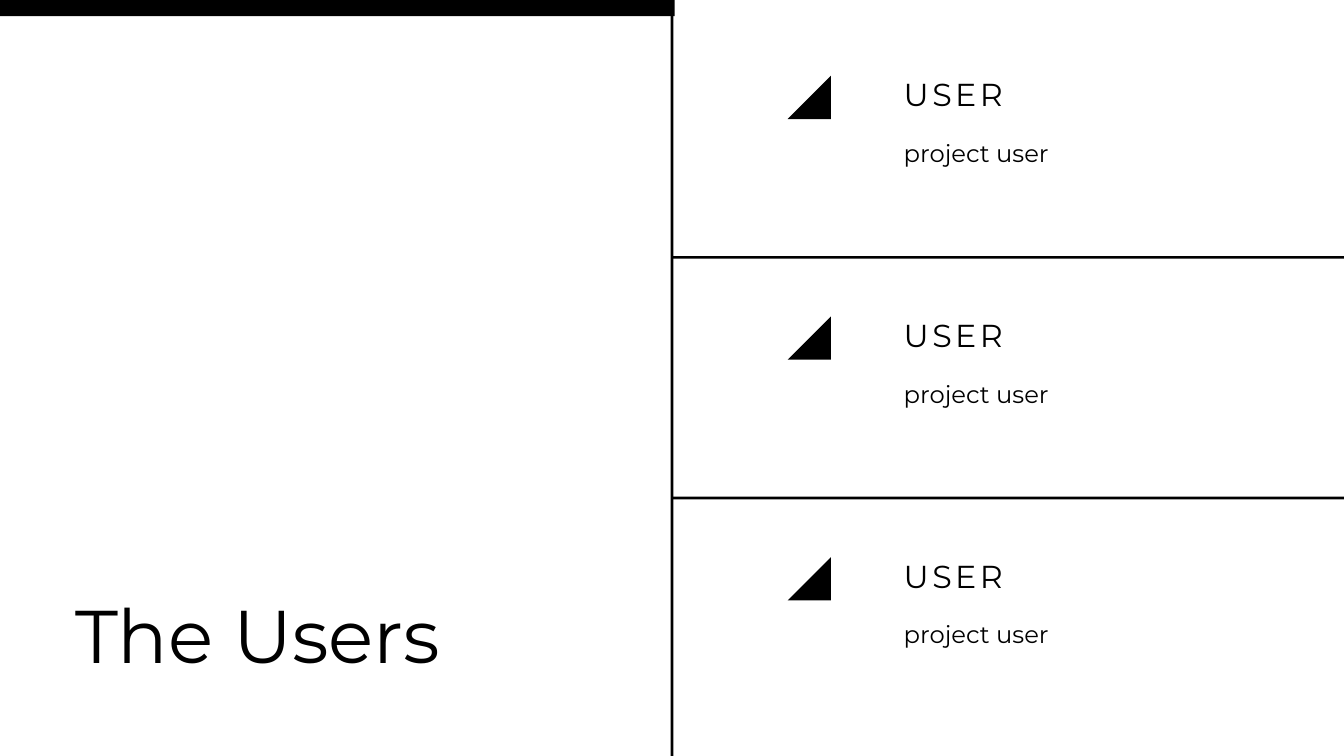
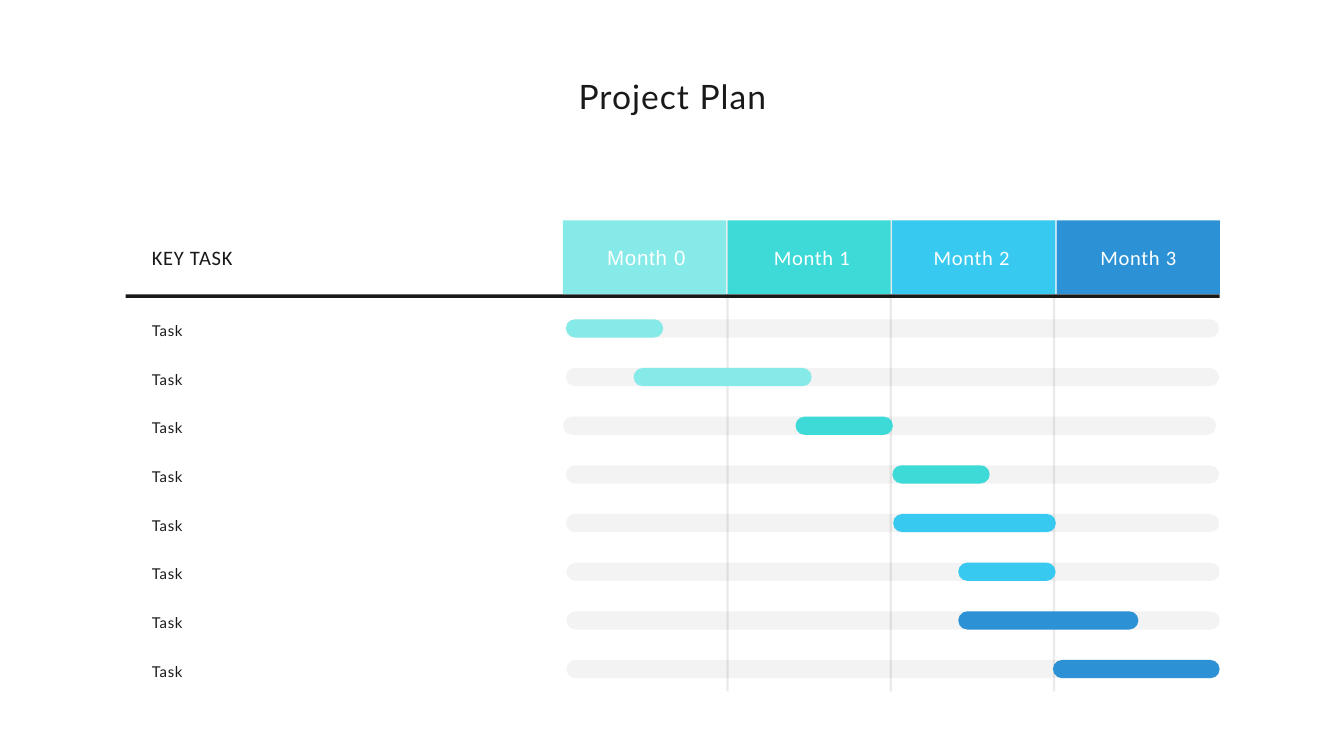
from collections import namedtuple

from lxml import etree
from pptx import Presentation
from pptx.dml.color import RGBColor
from pptx.enum.shapes import MSO_SHAPE
from pptx.enum.text import MSO_ANCHOR, MSO_AUTO_SIZE, PP_ALIGN
from pptx.oxml.ns import qn
from pptx.util import Cm, Pt

RECT = MSO_SHAPE.RECTANGLE
PILL = MSO_SHAPE.ROUNDED_RECTANGLE
WEDGE = MSO_SHAPE.RIGHT_TRIANGLE
LEFT, MID = PP_ALIGN.LEFT, PP_ALIGN.CENTER

BLACK = RGBColor(0x00, 0x00, 0x00)
WHITE = RGBColor(0xFF, 0xFF, 0xFF)
INK = RGBColor(0x19, 0x19, 0x19)
MINT = RGBColor(0x86, 0xEA, 0xE9)
TEAL = RGBColor(0x3E, 0xDA, 0xD8)
SKY = RGBColor(0x37, 0xC9, 0xEF)
BLUE = RGBColor(0x2C, 0x92, 0xD5)

WIDE, HIGH = 50.8, 28.58
TITLE_ONLY = 5

# Font, size, line height and letter spacing in points
Style = namedtuple("Style", "font size line gap color align")
HERO = Style("Montserrat", 80, 88, 0, BLACK, LEFT)
NAME = Style("Montserrat", 34, 40.8, 3.7, BLACK, LEFT)
ROLE = Style("Montserrat", 26, 36.4, 0, BLACK, LEFT)
HEAD = Style("Lato", 36, 47.2, 1.1, INK, MID)
KEY = Style("Calibri", 22, 28.4, 0.8, INK, LEFT)
MONTH = KEY._replace(color=WHITE, align=MID)
TASK = Style("Lato", 16, 24, 0.8, INK, LEFT)

USERS = [("USER", "project user")] * 3
USER_STEP = 9.1

# Label, label left, fill, font
MONTHS = [
    ("Month 0", 22.38, MINT, "Arial"),
    ("Month 1", 28.63, TEAL, "Calibri"),
    ("Month 2", 34.67, SKY, "Calibri"),
    ("Month 3", 40.97, BLUE, "Calibri"),
]
# Label, track left, bar left, bar width, bar fill
TASKS = [
    ("Task", 21.39, 21.39, 3.68, MINT),
    ("Task", 21.39, 23.95, 6.73, MINT),
    ("Task", 21.28, 30.07, 3.68, TEAL),
    ("Task", 21.39, 33.73, 3.68, TEAL),
    ("Task", 21.39, 33.76, 6.15, SKY),
    ("Task", 21.41, 36.22, 3.68, SKY),
    ("Task", 21.41, 36.22, 6.81, BLUE),
    ("Task", 21.41, 39.8, 6.3, BLUE),
]
TASK_STEP = 1.84
LABEL_X, LABEL_W = 5.74, 13.89
GRID_X, GRID_Y = 21.28, 8.33
CELL_W, CELL_H, CELL_STEP = 6.17, 2.79, 6.22


def write(shape, text, style):
    frame = shape.text_frame
    frame.margin_left = frame.margin_right = 0
    frame.margin_top = frame.margin_bottom = 0
    frame.word_wrap = True
    frame.auto_size = MSO_AUTO_SIZE.NONE
    frame.vertical_anchor = MSO_ANCHOR.TOP
    para = frame.paragraphs[0]
    para.alignment = style.align
    para.line_spacing = Pt(style.line)
    para.font.name = style.font
    para.font.size = Pt(style.size)
    para.font.color.rgb = style.color
    run = para.add_run()
    run.text = text
    if style.gap:
        run._r.get_or_add_rPr().set("spc", str(round(style.gap * 100)))


def add_text(slide, text, x, y, w, h, style):
    box = slide.shapes.add_textbox(Cm(x), Cm(y), Cm(w), Cm(h))
    write(box, text, style)


def set_title(slide, text, x, y, w, h, style):
    title = slide.shapes.title
    title.left, title.top = Cm(x), Cm(y)
    title.width, title.height = Cm(w), Cm(h)
    write(title, text, style)


def add_block(slide, x, y, w, h, color, kind=RECT, alpha=100):
    """Add a plain filled shape; alpha is its opacity in percent."""
    shape = slide.shapes.add_shape(kind, Cm(x), Cm(y), Cm(w), Cm(h))
    shape.shadow.inherit = False
    shape.line.fill.background()
    shape.fill.solid()
    shape.fill.fore_color.rgb = color
    if alpha < 100:
        tint = shape._element.spPr.find(qn("a:solidFill"))[0]
        etree.SubElement(tint, qn("a:alpha")).set("val", str(alpha * 1000))
    return shape


def add_pill(slide, x, y, w, color, alpha=100):
    pill = add_block(slide, x, y, w, 0.69, color, PILL, alpha)
    pill.adjustments[0] = 0.5


def add_user(slide, y, name, role):
    add_text(slide, name, 34.16, y, 13.77, 1.42, NAME)
    add_text(slide, role, 34.16, y + 2.2, 13.77, 1.19, ROLE)
    wedge = add_block(slide, 29.77, y + 0.02, 1.64, 1.64, BLACK, WEDGE)
    wedge.rotation = 270


def add_month(slide, x, label, label_x, color, font):
    add_block(slide, x, GRID_Y, CELL_W, CELL_H, color)
    style = MONTH._replace(font=font)
    add_text(slide, label, label_x, 9.19, 4.11, 0.97, style)


def add_task(slide, y, label, track_x, bar_x, bar_w, color):
    add_text(slide, label, LABEL_X, y - 0.08, LABEL_W, 0.79, TASK)
    add_pill(slide, track_x, y, 24.69, INK, 5)
    add_pill(slide, bar_x, y, bar_w, color)


def build_users(slide):
    set_title(slide, "The Users", 2.84, 22.53, 19.51, 3.2, HERO)
    for i, user in enumerate(USERS):
        add_user(slide, 2.84 + i * USER_STEP, *user)
    half = WIDE / 2
    add_block(slide, half - 0.05, 0, 0.1, HIGH, BLACK)
    for i in range(len(USERS) - 1):
        add_block(slide, half, 9.68 + i * USER_STEP, half, 0.1, BLACK)
    add_block(slide, 0, 0, 25.5, 0.61, BLACK)


def build_plan(slide):
    set_title(slide, "Project Plan", 8.59, 2.74, 33.66, 1.6, HEAD)
    add_block(slide, 4.75, 11.13, 41.35, 0.13, INK)
    for i in range(len(MONTHS) - 1):
        add_block(slide, 27.46 + i * CELL_W, GRID_Y, 0.08, 17.81, INK, alpha=9)
    for i, month in enumerate(MONTHS):
        add_month(slide, GRID_X + i * CELL_STEP, *month)
    add_text(slide, "KEY TASK", LABEL_X, 9.19, LABEL_W, 0.97, KEY)
    for i, task in enumerate(TASKS):
        add_task(slide, 12.07 + i * TASK_STEP, *task)


def main():
    deck = Presentation()
    deck.slide_width, deck.slide_height = Cm(WIDE), Cm(HIGH)
    for build in (build_users, build_plan):
        build(deck.slides.add_slide(deck.slide_layouts[TITLE_ONLY]))
    deck.save("out.pptx")


if __name__ == "__main__":
    main()
